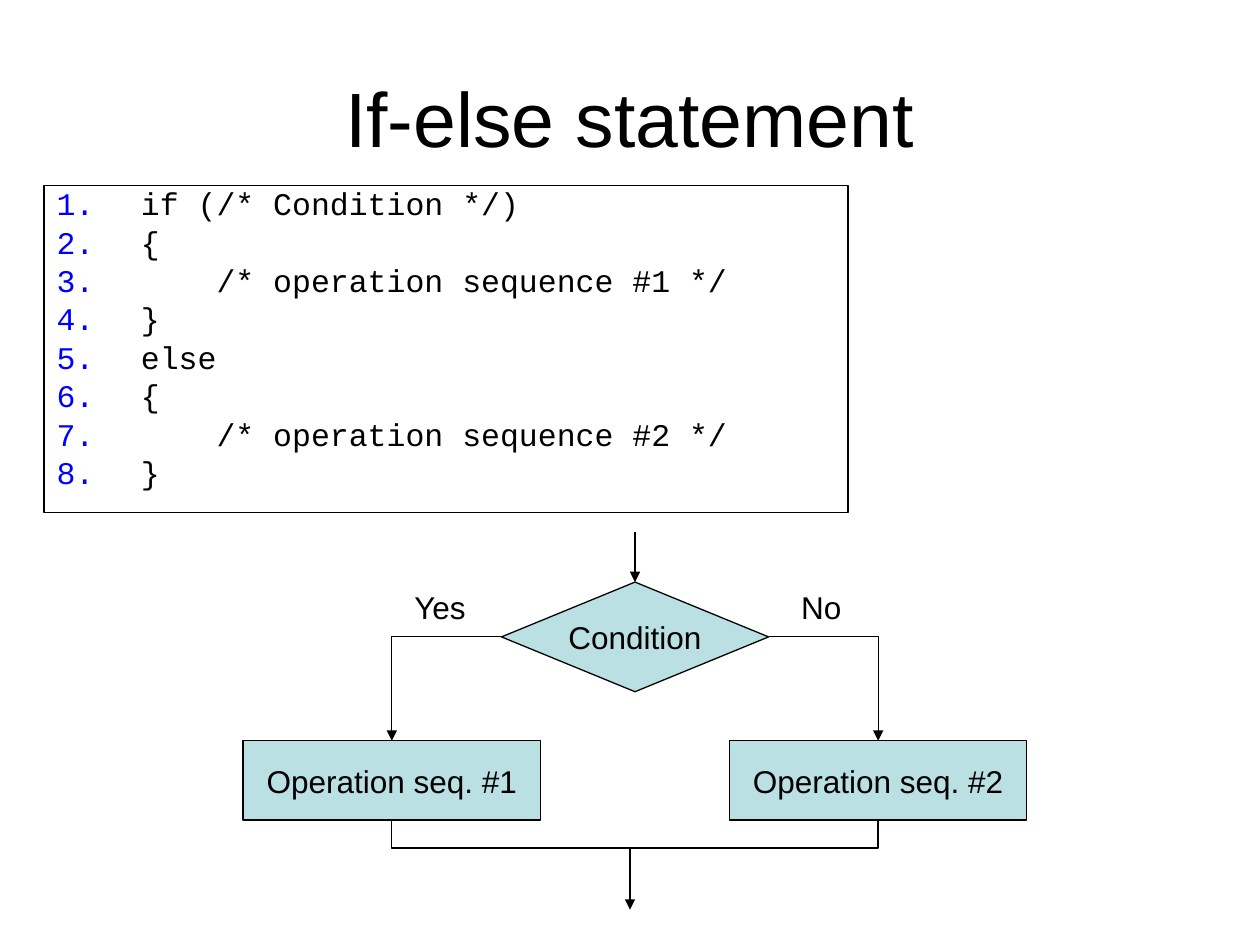
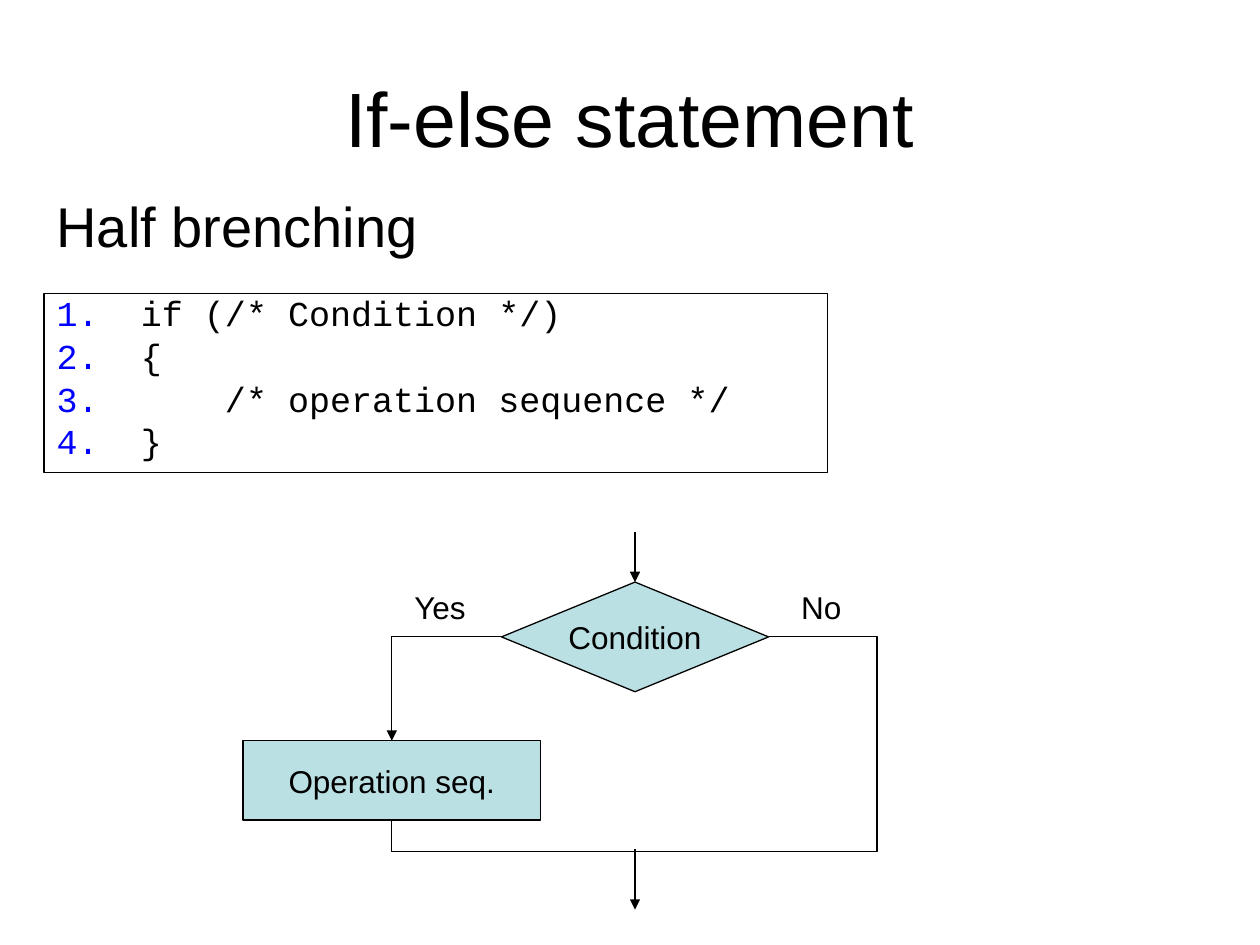
from lxml.etree import SubElement as Sub
from pptx import Presentation
from pptx.dml.color import RGBColor
from pptx.enum.shapes import MSO_CONNECTOR as Link, MSO_SHAPE as Form
from pptx.enum.text import MSO_ANCHOR as Anchor, MSO_AUTO_SIZE as Fit, PP_ALIGN as Align
from pptx.oxml.ns import qn
from pptx.util import Inches, Pt

BLACK = RGBColor(0x00, 0x00, 0x00)
BLUE = RGBColor(0x00, 0x00, 0xFF)
TEAL = RGBColor(0xBB, 0xE0, 0xE3)
WIDE, HIGH = Inches(10), Inches(7.5)
COLS, ROWS = 100, 75
SANS, MONO = "Arial", "Courier New"

AXIS, ARM = 50.4, 19.3
LEFT, RIGHT = AXIS - ARM, AXIS + ARM
TEST = (39.8, 46.2, 21.2, 8.7)
STEP_W, STEP_TOP, STEP_H = 23.6, 58.8, 6.3
STEP_END = STEP_TOP + STEP_H
FORK = 50.5

FULL = """if (/* Condition */)
{
    /* operation sequence #1 */
}
else
{
    /* operation sequence #2 */
}"""
HALF = """if (/* Condition */)
{
    /* operation sequence */
}"""


def grid(*spots):
    """Turn alternating columns and rows into slide lengths."""
    units = (WIDE / COLS, HIGH / ROWS)
    return [round(spot * units[i % 2]) for i, spot in enumerate(spots)]


def apply(thing, **values):
    """Set each named attribute of a thing."""
    for name, value in values.items():
        setattr(thing, name, value)


def style(para, size, face=SANS):
    """Set the font of a paragraph."""
    apply(para.font, size=Pt(size), name=face)
    para.font.color.rgb = BLACK


def ink(shape, tip=False):
    """Draw a thin black line, with an arrowhead if asked."""
    shape.line.color.rgb = BLACK
    shape.line.width = Pt(0.75)
    if tip:
        edge = shape.element.spPr.find(qn("a:ln"))
        Sub(edge, qn("a:tailEnd"), type="triangle")


def head(slide, text):
    """Place and format the slide title."""
    title = slide.shapes.title
    left, top, width, height = grid(5, 3, 90, 12.5)
    apply(title, left=left, top=top, width=width, height=height)
    frame = title.text_frame
    apply(frame, text=text, vertical_anchor=Anchor.MIDDLE, auto_size=Fit.NONE)
    para = frame.paragraphs[0]
    para.alignment = Align.CENTER
    style(para, 44)


def label(slide, text, box, size=18):
    """Add a plain text box."""
    frame = slide.shapes.add_textbox(*grid(*box)).text_frame
    apply(frame, text=text, word_wrap=True)
    style(frame.paragraphs[0], size)


def number(para):
    """Give a paragraph a blue automatic number."""
    props = para._p.get_or_add_pPr()
    indent = Inches(0.67)
    props.set("marL", str(indent))
    props.set("indent", str(-indent))
    Sub(Sub(props, qn("a:buClr")), qn("a:srgbClr"), val=str(BLUE))
    Sub(props, qn("a:buAutoNum"), type="arabicPeriod")


def code(slide, text, box, size):
    """Add a framed box of numbered code lines."""
    shape = slide.shapes.add_shape(Form.RECTANGLE, *grid(*box))
    shape.shadow.inherit = False
    shape.fill.background()
    ink(shape)
    frame = shape.text_frame
    apply(frame, text=text, word_wrap=True, vertical_anchor=Anchor.TOP)
    for i, para in enumerate(frame.paragraphs):
        number(para)
        gap = Pt(size * 0.26) if i else Pt(0)
        apply(para, alignment=Align.LEFT, line_spacing=0.8, space_before=gap)
        style(para, size, MONO)


def node(slide, form, text, box):
    """Add a filled flowchart shape."""
    shape = slide.shapes.add_shape(form, *grid(*box))
    shape.shadow.inherit = False
    shape.fill.solid()
    shape.fill.fore_color.rgb = TEAL
    ink(shape)
    frame = shape.text_frame
    apply(frame, text=text, word_wrap=False, vertical_anchor=Anchor.MIDDLE)
    para = frame.paragraphs[0]
    para.alignment = Align.CENTER
    style(para, 18)
    return shape


def step(slide, text, mid):
    """Add an operation box centred on a column."""
    node(slide, Form.RECTANGLE, text, (mid - STEP_W / 2, STEP_TOP, STEP_W, STEP_H))


def arrow(slide, col, top, end, goal=None):
    """Add a downward arrow, joined to the top of its goal."""
    line = slide.shapes.add_connector(Link.STRAIGHT, *grid(col, top, col, end))
    ink(line, tip=True)
    Sub(line.element.spPr, qn("a:effectLst"))
    if goal:
        line.end_connect(goal, 0)


def route(slide, *spots, tip=False):
    """Add a bent line through grid points."""
    first, *rest = [grid(*spot) for spot in spots]
    pen = slide.shapes.build_freeform(*first)
    pen.add_line_segments(rest, close=False)
    shape = pen.convert_to_shape()
    shape.shadow.inherit = False
    shape.fill.background()
    ink(shape, tip)


def branch(slide, side, mid):
    """Lead from a side of the condition down to an operation."""
    route(slide, (side, FORK), (mid, FORK), (mid, STEP_TOP), tip=True)


def chart(slide, text):
    """Draw the condition, its entry and the yes branch."""
    test = node(slide, Form.DIAMOND, "Condition", TEST)
    step(slide, text, LEFT)
    branch(slide, TEST[0], LEFT)
    arrow(slide, AXIS, 42.2, TEST[1], test)
    for word, col in (("Yes", 31.9), ("No", 62.6)):
        label(slide, word, (col, 46.2, 6.3, 4))


def full(slide):
    """Fill the slide on two-way branching."""
    code(slide, FULL, (3.5, 14.7, 63.8, 26), 18)
    chart(slide, "Operation seq. #1")
    step(slide, "Operation seq. #2", RIGHT)
    branch(slide, TEST[0] + TEST[2], RIGHT)
    base = 67.3
    route(slide, (LEFT, STEP_END), (LEFT, base), (RIGHT, base), (RIGHT, STEP_END))
    arrow(slide, 50, 67.4, 72.2)


def half(slide):
    """Fill the slide on one-way branching."""
    label(slide, "Half brenching", (3.5, 14.7, 81.1, 6.3), 32)
    code(slide, HALF, (3.5, 23.3, 62.2, 14.2), 20)
    chart(slide, "Operation seq.")
    base, far = 67.6, 69.6
    route(slide, (LEFT, STEP_END), (LEFT, base), (far, base), (far, FORK),
          (TEST[0] + TEST[2], FORK))
    arrow(slide, AXIS, 67.4, 72.2)


def main():
    """Build and save the slides."""
    deck = Presentation()
    apply(deck, slide_width=WIDE, slide_height=HIGH)
    for fill in (full, half):
        slide = deck.slides.add_slide(deck.slide_layouts[5])
        head(slide, "If-else statement")
        fill(slide)
    deck.save("out.pptx")


if __name__ == "__main__":
    main()
